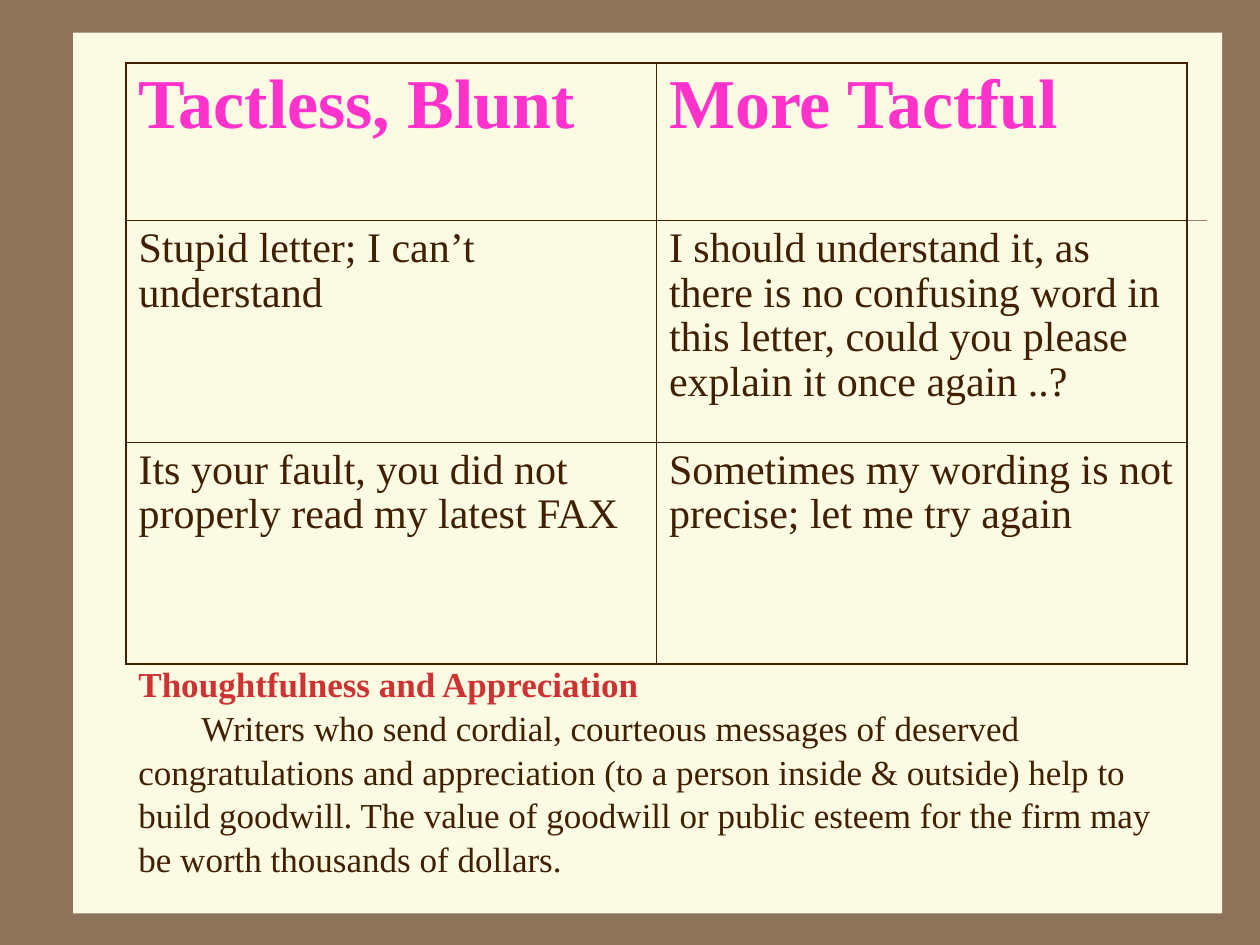
"""Build a slide that contrasts blunt and tactful wording."""
import lxml.etree
import pptx
import pptx.dml.color
import pptx.enum.shapes
import pptx.enum.text
import pptx.oxml.ns
import pptx.util

Inches = pptx.util.Inches
COLORS = {
    "background": "8C735A",
    "panel": "FBFAE2",
    "rule": "A08366",
    "text": "402000",
    "header": "FF33CC",
    "heading": "CD3333",
}
FONT = "Times New Roman"
ROWS = [
    ("Tactless, Blunt", "More Tactful"),
    (
        "Stupid letter; I can’t understand",
        "I should understand it, as there is no confusing word in this letter, "
        "could you please explain it once again ..?",
    ),
    (
        "Its your fault, you did not properly read my latest FAX",
        "Sometimes my wording is not precise; let me try again",
    ),
]
ROW_HEIGHTS = [1.25, 1.76, 1.76]
COLUMN_WIDTH = 4.21
OUTER_BORDER, INNER_BORDER = 1.08, 0.45
HEADING = "Thoughtfulness and Appreciation"
BODY = (
    "\tWriters who send cordial, courteous messages of deserved congratulations "
    "and appreciation (to a person inside & outside) help to build goodwill. "
    "The value of goodwill or public esteem for the firm may be worth "
    "thousands of dollars."
)


def rgb(name):
    return pptx.dml.color.RGBColor.from_string(COLORS[name])


def add_text(paragraph, text, size=24, color="text", bold=False):
    run = paragraph.add_run()
    run.text = text
    run.font.name = FONT
    run.font.size = pptx.util.Pt(size)
    run.font.bold = bold
    run.font.color.rgb = rgb(color)


def add_child(parent, tag, **attributes):
    return lxml.etree.SubElement(parent, pptx.oxml.ns.qn(tag), **attributes)


def set_borders(cell, widths):
    properties = cell._tc.get_or_add_tcPr()
    for side, width in widths.items():
        border = add_child(properties, f"a:ln{side}", w=str(pptx.util.Pt(width)))
        fill = add_child(border, "a:solidFill")
        add_child(fill, "a:srgbClr", val=COLORS["text"])


def add_backdrop(slide):
    slide.background.fill.solid()
    slide.background.fill.fore_color.rgb = rgb("background")
    panel = slide.shapes.add_shape(
        pptx.enum.shapes.MSO_SHAPE.RECTANGLE,
        Inches(0.58), Inches(0.26), Inches(9.12), Inches(6.99),
    )
    panel.shadow.inherit = False
    panel.fill.solid()
    panel.fill.fore_color.rgb = rgb("panel")
    panel.line.fill.background()
    rule = slide.shapes.add_connector(
        pptx.enum.shapes.MSO_CONNECTOR.STRAIGHT,
        Inches(1.11), Inches(1.75), Inches(9.58), Inches(1.75),
    )
    rule.line.color.rgb = rgb("rule")
    rule.line.width = pptx.util.Pt(0.25)
    add_child(rule._element.spPr, "a:effectLst")


def add_appreciation(slide):
    box = slide.shapes.add_textbox(Inches(1), Inches(5), Inches(8.28), Inches(2.23))
    frame = box.text_frame
    frame.word_wrap = True
    frame.vertical_anchor = pptx.enum.text.MSO_ANCHOR.MIDDLE
    paragraph = frame.paragraphs[0]
    paragraph.line_spacing = 1.04
    add_text(paragraph, HEADING, size=20, color="heading", bold=True)
    paragraph.add_line_break()
    add_text(paragraph, BODY, size=20)


def add_comparison(slide):
    columns = len(ROWS[0])
    table = slide.shapes.add_table(
        len(ROWS), columns, Inches(1), Inches(0.5),
        Inches(columns * COLUMN_WIDTH), Inches(sum(ROW_HEIGHTS)),
    ).table
    for column in table.columns:
        column.width = Inches(COLUMN_WIDTH)
    for row_index, (texts, height) in enumerate(zip(ROWS, ROW_HEIGHTS)):
        table.rows[row_index].height = Inches(height)
        for column_index, text in enumerate(texts):
            cell = table.cell(row_index, column_index)
            outer_sides = {
                "L": column_index == 0,
                "R": column_index == columns - 1,
                "T": row_index == 0,
                "B": row_index == len(ROWS) - 1,
            }
            set_borders(cell, {
                side: OUTER_BORDER if outer else INNER_BORDER
                for side, outer in outer_sides.items()
            })
            cell.fill.background()
            paragraph = cell.text_frame.paragraphs[0]
            paragraph.line_spacing = 0.96
            if row_index == 0:
                paragraph.space_before = pptx.util.Pt(10)
                add_text(paragraph, text, size=40, color="header", bold=True)
            else:
                paragraph.space_before = pptx.util.Pt(6)
                add_text(paragraph, text)


def main():
    presentation = pptx.Presentation()
    presentation.slide_width = Inches(10)
    presentation.slide_height = Inches(7.5)
    slide = presentation.slides.add_slide(presentation.slide_layouts[6])
    add_backdrop(slide)
    add_appreciation(slide)
    add_comparison(slide)
    presentation.save("out.pptx")


if __name__ == "__main__":
    main()
